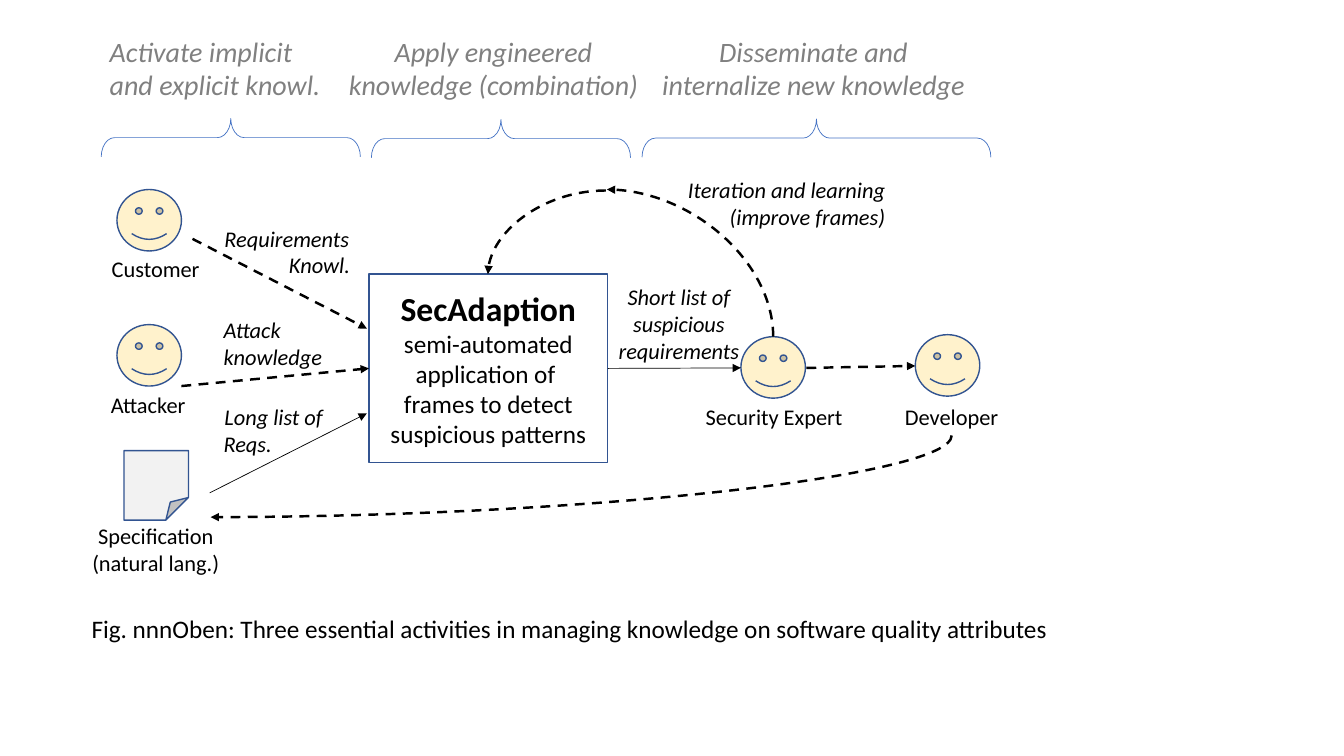
"""Builds a slide on three knowledge management activities around security requirements."""
from dataclasses import dataclass
from typing import Any, NamedTuple, Optional

import lxml.etree
import pptx
import pptx.dml.color
import pptx.enum.dml
import pptx.enum.shapes
import pptx.enum.text
import pptx.oxml.ns
import pptx.util

SHAPE = pptx.enum.shapes.MSO_SHAPE
CONNECTOR = pptx.enum.shapes.MSO_CONNECTOR
LEFT, CENTER, RIGHT = (pptx.enum.text.PP_ALIGN[n] for n in ("LEFT", "CENTER", "RIGHT"))
COLUMNS, ROWS = 133.33, 75
LEFT_SIDE, RIGHT_SIDE = 1, 3
qn = pptx.oxml.ns.qn


@dataclass(frozen=True)
class Theme:
    font: str = "Calibri"
    ink: str = "000000"
    muted: str = "808080"
    paper: str = "FFFFFF"
    face: str = "FFF2CC"
    sheet: str = "F2F2F2"
    outline: str = "325491"
    brace: str = "4472C4"
    label: float = 16
    body: float = 18
    phase: float = 20
    heading: float = 24
    hairline: float = 0.5
    thin: float = 1
    thick: float = 1.75


class Box(NamedTuple):
    left: float
    top: float
    width: float
    height: float


class Para(NamedTuple):
    text: str
    align: Any = CENTER
    fmt: dict[str, Any] = {}


class Label(NamedTuple):
    box: Box
    paras: list[Para]
    italic: bool = True
    size: float = Theme.label
    color: str = Theme.ink


class Phase(NamedTuple):
    box: Box
    para: Para
    brace_left: float
    brace_span: float
    brace_middle: float


class Link(NamedTuple):
    start: tuple[float, float]
    end: tuple[float, float]
    dashed: bool = True
    start_side: Optional[int] = None
    end_side: Optional[int] = None


class Curve(NamedTuple):
    start: tuple[float, float]
    end: tuple[float, float]
    turn: dict[str, str]


FACES = [Box(x, y, 6.4, 6.1) for x, y in
         ((11.6, 18.8), (11.6, 32.2), (73.5, 33.4), (90.8, 33.2))]
SHEET = Box(12.3, 44.7, 6.4, 6.9)
LABELS = [
    Label(Box(8.1, 51.3, 14.7, 6.4), [Para("Specification\n(natural lang.)")], False),
    Label(Box(10, 24.8, 10.9, 3.7), [Para("Customer")], False),
    Label(Box(9.9, 38.3, 9.6, 3.7), [Para("Attacker")], False),
    Label(Box(68.9, 39.5, 15.8, 3.7), [Para("Security Expert")], False),
    Label(Box(88.7, 39.5, 11.4, 3.7), [Para("Developer")], False),
    Label(Box(67.1, 17, 21.7, 6.4),
          [Para("Iteration and learning", RIGHT), Para("(improve frames)", RIGHT)]),
    Label(Box(60.3, 27.6, 14.1, 9.1),
          [Para("Short list of"), Para("suspicious"), Para("requirements")]),
    Label(Box(21.2, 21.8, 14.5, 6.4), [Para("Requirements"), Para("Knowl.", RIGHT)]),
    Label(Box(21.2, 30.9, 11.9, 6.4), [Para("Attack", LEFT), Para("knowledge", LEFT)]),
    Label(Box(21.2, 39.5, 11.9, 6.4), [Para("Long list of"), Para("Reqs.", LEFT)]),
    Label(Box(8.1, 60.4, 98.1, 4), [Para(
        "Fig. nnnOben: Three essential activities in managing knowledge "
        "on software quality attributes", LEFT)], False, Theme.body),
]
PHASES = [
    Phase(Box(9.9, 2.9, 23.1, 7.7), Para("Activate implicit\nand explicit knowl.", LEFT),
          10.05, 25.7, 13.65),
    Phase(Box(33.5, 2.9, 30.9, 7.7), Para("Apply engineered\nknowledge (combination)"),
          36.85, 25.7, 13.75),
    Phase(Box(64.6, 2.9, 32.2, 7.7), Para("Disseminate and\ninternalize new knowledge"),
          63.7, 34.6, 13.7),
]
BRACE_DEPTH = 3.8
SYSTEM = Label(Box(36.6, 27.2, 23.7, 18.7), [
    Para("SecAdaption", fmt={"size": pptx.util.Pt(Theme.heading), "bold": True}),
    Para("semi-automated"), Para("application of "),
    Para("frames to detect suspicious patterns")], False, Theme.body)
LINKS = [
    Link((19.1, 23.7), (36.4, 32.6)),
    Link((18, 38.3), (36.6, 36.5), end_side=LEFT_SIDE),
    Link((20.8, 48.9), (36.4, 41), dashed=False),
    Link((60.2, 36.5), (73.5, 36.5), dashed=False, start_side=RIGHT_SIDE),
    Link((80, 36.5), (90.8, 36.3)),
]
QUARTER = 90 * 60000
CURVES = [
    Curve((76.7, 33.4), (60.2, 18.8), {"rot": str(3 * QUARTER), "flipV": "1"}),
    Curve((60.1, 18.9), (48.4, 27.2), {"rot": str(2 * QUARTER), "flipV": "1"}),
    Curve((94.4, 43.2), (20.9, 51.3), {"rot": str(QUARTER)}),
]


def rgb(color: str) -> Any:
    return pptx.dml.color.RGBColor.from_string(color)


def apply(target: Any, fmt: dict[str, Any]) -> None:
    for name, value in fmt.items():
        setattr(target, name, value)


def place(prs: Any, *lengths: float) -> list[int]:
    units = (prs.slide_width / COLUMNS, prs.slide_height / ROWS)
    return [round(n * units[i % 2]) for i, n in enumerate(lengths)]


def write(tf: Any, label: Label) -> None:
    for i, para in enumerate(label.paras):
        p = tf.add_paragraph() if i else tf.paragraphs[0]
        p.text, p.alignment = para.text, para.align
        for r in p.runs:
            apply(r.font, {"name": Theme.font, "size": pptx.util.Pt(label.size),
                           "italic": label.italic, **para.fmt})
            r.font.color.rgb = rgb(label.color)


def add_label(prs: Any, shapes: Any, label: Label) -> None:
    tf = shapes.add_textbox(*place(prs, *label.box)).text_frame
    apply(tf, {"word_wrap": False,
               "auto_size": pptx.enum.text.MSO_AUTO_SIZE.SHAPE_TO_FIT_TEXT})
    write(tf, label)


def add_shape(prs: Any, shapes: Any, kind: Any, box: Box, fill: Optional[str],
              line: str = Theme.outline, width: float = Theme.thin) -> Any:
    sp = shapes.add_shape(kind, *place(prs, *box))
    sp.shadow.inherit = False
    sp.fill.background()
    if fill:
        sp.fill.solid()
        sp.fill.fore_color.rgb = rgb(fill)
    sp.line.color.rgb, sp.line.width = rgb(line), pptx.util.Pt(width)
    return sp


def set_geometry(s: Any, preset: str, **guides: int) -> None:
    geom = s.element.spPr.find(qn("a:prstGeom"))
    geom.set("prst", preset)
    for child in list(geom):
        geom.remove(child)
    values = lxml.etree.SubElement(geom, qn("a:avLst"))
    for name, value in guides.items():
        lxml.etree.SubElement(values, qn("a:gd"), name=name, fmla=f"val {value}")


def add_phase(prs: Any, shapes: Any, phase: Phase) -> None:
    add_label(prs, shapes, Label(phase.box, [phase.para], True, Theme.phase, Theme.muted))
    _, _, _, span, middle = phase
    box = Box(phase.brace_left + (span - BRACE_DEPTH) / 2, middle - span / 2, BRACE_DEPTH, span)
    sp = add_shape(prs, shapes, SHAPE.RIGHT_BRACE, box, None, Theme.brace, Theme.hairline)
    sp.rotation = 270
    set_geometry(sp, "rightBrace", adj1=34900, adj2=50000)


def style_line(c: Any, dashed: bool = True) -> None:
    c.line.color.rgb = rgb(Theme.ink)
    c.line.width = pptx.util.Pt(Theme.thick if dashed else Theme.hairline)
    if dashed:
        c.line.dash_style = pptx.enum.dml.MSO_LINE.DASH
    lxml.etree.SubElement(c.element.spPr.find(qn("a:ln")), qn("a:tailEnd"), type="triangle")
    lxml.etree.SubElement(c.element.spPr, qn("a:effectLst"))


def add_link(prs: Any, shapes: Any, link: Link, system: Any) -> None:
    c = shapes.add_connector(CONNECTOR.STRAIGHT, *place(prs, *link.start, *link.end))
    for join, side in ((c.begin_connect, link.start_side), (c.end_connect, link.end_side)):
        if side is not None:
            join(system, side)
    style_line(c, link.dashed)


def add_curve(prs: Any, shapes: Any, curve: Curve) -> None:
    (x1, y1), (x2, y2) = curve.start, curve.end
    w, h = abs(x2 - x1), abs(y2 - y1)
    if int(curve.turn["rot"]) // QUARTER % 2:
        w, h = h, w
    left, top = (x1 + x2 - w) / 2, (y1 + y2 - h) / 2
    c = shapes.add_connector(CONNECTOR.CURVE, *place(prs, left, top, left + w, top + h))
    set_geometry(c, "curvedConnector2")
    c.element.spPr.find(qn("a:xfrm")).attrib.update(curve.turn)
    style_line(c)


def main() -> None:
    prs = pptx.Presentation()
    prs.slide_width, prs.slide_height = pptx.util.Inches(13.33), pptx.util.Inches(7.5)
    shapes = prs.slides.add_slide(prs.slide_layouts[6]).shapes
    for box in FACES:
        add_shape(prs, shapes, SHAPE.SMILEY_FACE, box, Theme.face)
    sheet = add_shape(prs, shapes, SHAPE.FOLDED_CORNER, SHEET, Theme.sheet)
    set_geometry(sheet, "foldedCorner", adj=35100)
    system = add_shape(prs, shapes, SHAPE.RECTANGLE, SYSTEM.box, Theme.paper)
    apply(system.text_frame, {"word_wrap": True,
                              "vertical_anchor": pptx.enum.text.MSO_ANCHOR.MIDDLE})
    write(system.text_frame, SYSTEM)
    for add, items in ((add_curve, CURVES), (add_label, LABELS), (add_phase, PHASES)):
        for item in items:
            add(prs, shapes, item)
    for link in LINKS:
        add_link(prs, shapes, link, system)
    prs.save("out.pptx")


if __name__ == "__main__":
    main()
